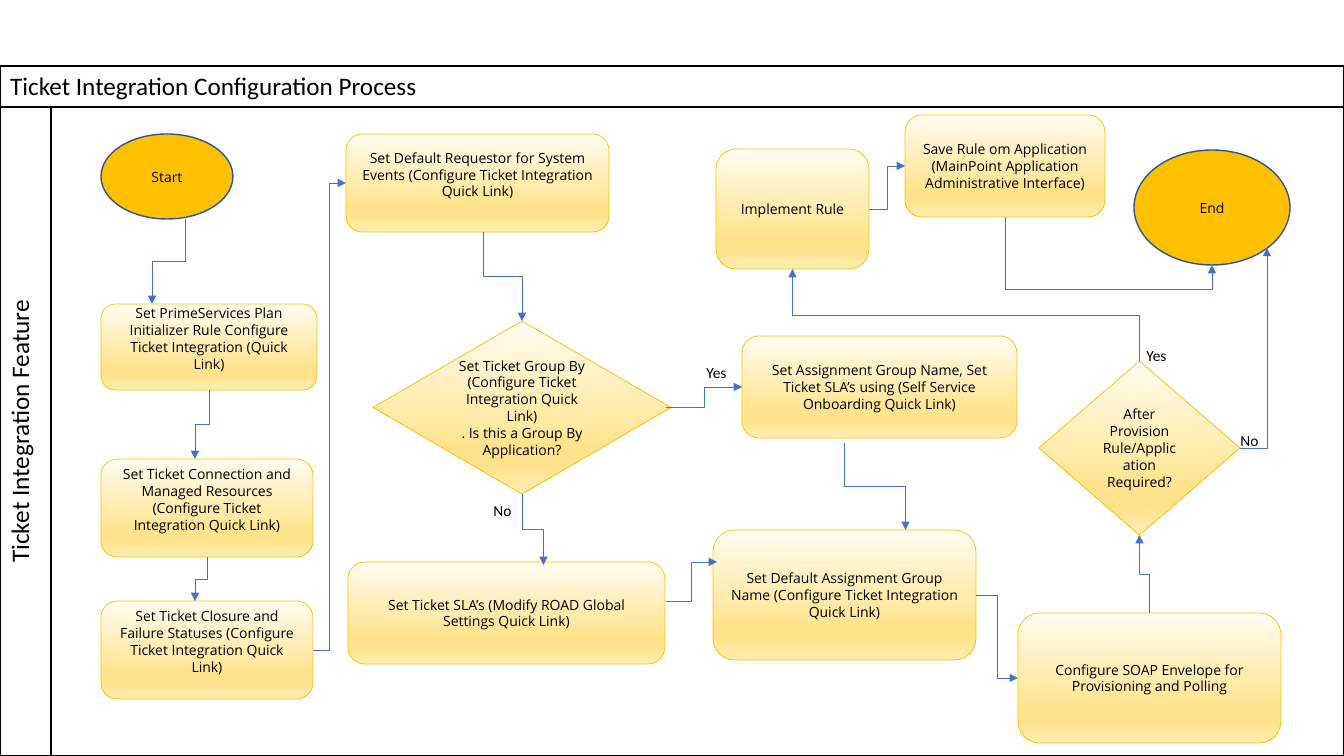
from dataclasses import dataclass
from lxml.etree import SubElement
from pptx import Presentation
from pptx.dml.color import RGBColor
from pptx.enum.shapes import MSO_CONNECTOR, MSO_SHAPE
from pptx.enum.text import MSO_ANCHOR, PP_ALIGN
from pptx.oxml import parse_xml
from pptx.oxml.ns import nsdecls, qn
from pptx.util import Pt

EMU_PER_PIXEL = 914400 / 100.8


@dataclass(frozen=True)
class Theme:
    ink: str = "000000"
    terminal_fill: str = "FFC000"
    terminal_line: str = "325491"
    step_line: str = "FFC000"
    arrow: str = "4472C4"
    step_stops: tuple = ((0, "FFFCF2"), (51, "FFEBAC"), (74, "FFE38C"), (83, "FFE38C"), (100, "FFECB2"))
    lane_font: str = "Calibri"
    step_font: str = "Open Sans"
    lane_size: int = 18
    label_size: int = 11
    step_size: int = 10


@dataclass(frozen=True)
class Box:
    left: int
    top: int
    width: int
    height: int

    def inside(self, left, top, width, height):
        return Box(self.left + left, self.top + top, width, height)

    def emu(self):
        return [px(value) for value in (self.left, self.top, self.width, self.height)]

    def anchor(self, side, across=0, down=0):
        x, y = {"top": (0.5, 0), "bottom": (0.5, 1), "left": (0, 0.5), "right": (1, 0.5)}[side]
        return self.left + x * self.width + across, self.top + y * self.height + down


THEME = Theme()
HEADER_HEIGHT, LANE_WIDTH = 41, 51

NODES = {
    "start": ("terminal", (50, 27, 132, 85), "Start"),
    "plan": ("raised", (50, 197, 216, 86),
             "Set PrimeServices Plan Initializer Rule Configure Ticket Integration (Quick Link)"),
    "connection": ("raised", (50, 352, 212, 98),
                   "Set Ticket Connection and Managed Resources (Configure Ticket Integration Quick Link)"),
    "closure": ("raised", (50, 494, 212, 98),
                "Set Ticket Closure and Failure Statuses (Configure Ticket Integration Quick Link)"),
    "requestor": ("raised", (295, 27, 263, 98),
                  "Set Default Requestor for System Events (Configure Ticket Integration Quick Link)"),
    "group": ("decision", (322, 214, 298, 173),
              "Set Ticket Group By (Configure Ticket Integration Quick Link)\n. Is this a Group By Application?"),
    "assignment": ("step", (691, 229, 275, 102),
                   "Set Assignment Group Name, Set Ticket SLA’s using (Self Service Onboarding Quick Link)"),
    "sla": ("step", (297, 455, 317, 102), "Set Ticket SLA’s (Modify ROAD Global Settings Quick Link)"),
    "default": ("step", (662, 423, 263, 130),
                "Set Default Assignment Group Name (Configure Ticket Integration Quick Link)"),
    "envelope": ("step", (967, 506, 263, 130), "Configure SOAP Envelope for Provisioning and Polling"),
    "provision": ("decision", (988, 254, 201, 174), "After Provision Rule/Application Required?"),
    "implement": ("step", (665, 42, 153, 120), "Implement Rule"),
    "save": ("step", (854, 8, 200, 102),
             "Save Rule om Application (MainPoint Application Administrative Interface)"),
    "end": ("terminal", (1083, 43, 156, 115), "End"),
}

ARROWS = [
    ("start", ("bottom", 18), "plan", ("top", -57)),
    ("plan", ("bottom",), "connection", ("top", -12)),
    ("connection", ("bottom",), "closure", ("top", -12)),
    ("closure", ("right",), "requestor", ("left",)),
    ("requestor", ("bottom", 6), "group", ("top",)),
    ("group", ("bottom",), "sla", ("top", 37, 3)),
    ("group", ("right", -5), "assignment", ("left",)),
    ("assignment", ("bottom", -35, 5), "default", ("top", 61)),
    ("sla", ("right", 1, -12), "default", ("left", 4, -33)),
    ("default", ("right",), "envelope", ("left",)),
    ("envelope", ("top",), "provision", ("bottom",)),
    ("provision", ("top",), "implement", ("bottom",)),
    ("implement", ("right",), "save", ("left",)),
    ("save", ("bottom",), "end", ("bottom",)),
    ("provision", ("right",), "end", ("bottom", 55, -17)),
]
BENDS = {("save", "end"): 1.5}
CORNERS = {("provision", "end")}
LABELS = [("No", 429, 386), ("Yes", 643, 248), ("No", 1176, 316), ("Yes", 1083, 231)]


def px(value):
    return round(value * EMU_PER_PIXEL)


def color(value):
    return RGBColor.from_string(value)


def write(text_frame, text, font, size, align=PP_ALIGN.CENTER):
    text_frame.text = text
    for paragraph in text_frame.paragraphs:
        paragraph.alignment = align
        paragraph.font.name = font
        paragraph.font.size = Pt(size)
        paragraph.font.bold = False
        paragraph.font.color.rgb = color(THEME.ink)


def draw_swimlane(slide, box):
    table = slide.shapes.add_table(2, 2, *box.emu()).table
    table.first_row = table.horz_banding = False
    for column, width in zip(table.columns, (LANE_WIDTH, box.width - LANE_WIDTH)):
        column.width = px(width)
    for row, height in zip(table.rows, (HEADER_HEIGHT, box.height - HEADER_HEIGHT)):
        row.height = px(height)
    table.cell(0, 0).merge(table.cell(0, 1))
    write(table.cell(0, 0).text_frame, "Ticket Integration Configuration Process",
          THEME.lane_font, THEME.lane_size, PP_ALIGN.LEFT)
    write(table.cell(1, 0).text_frame, "Ticket Integration Feature", THEME.lane_font, THEME.lane_size)
    for cell in table.iter_cells():
        cell.fill.background()
        properties = cell._tc.get_or_add_tcPr()
        for index, edge in enumerate(("lnL", "lnR", "lnT", "lnB")):
            properties.insert(index, parse_xml(
                f'<a:{edge} {nsdecls("a")} w="{Pt(1)}"><a:solidFill>'
                f'<a:srgbClr val="{THEME.ink}"/></a:solidFill></a:{edge}>'))
    table.cell(1, 0)._tc.get_or_add_tcPr().set("vert", "vert270")


def fill_gradient(shape):
    shape.fill.gradient()
    shape.fill.gradient_angle = 270
    stops = shape._element.spPr.find(qn("a:gradFill")).find(qn("a:gsLst"))
    for stop in list(stops):
        stops.remove(stop)
    for position, value in THEME.step_stops:
        stop = SubElement(stops, qn("a:gs"), pos=str(position * 1000))
        SubElement(stop, qn("a:srgbClr"), val=value)


def draw_node(slide, box, kind, text):
    preset = {"terminal": MSO_SHAPE.OVAL, "decision": MSO_SHAPE.DIAMOND}.get(kind, MSO_SHAPE.ROUNDED_RECTANGLE)
    shape = slide.shapes.add_shape(preset, *box.emu())
    shape.shadow.inherit = False
    if kind == "terminal":
        shape.fill.solid()
        shape.fill.fore_color.rgb = color(THEME.terminal_fill)
    else:
        fill_gradient(shape)
    shape.line.color.rgb = color(THEME.terminal_line if kind == "terminal" else THEME.step_line)
    shape.line.width = Pt(1 if kind == "terminal" else 0.5)
    text_frame = shape.text_frame
    text_frame.word_wrap = True
    text_frame.vertical_anchor = MSO_ANCHOR.MIDDLE
    if kind == "raised":
        text_frame.margin_top, text_frame.margin_bottom = 0, px(17)
    write(text_frame, text, THEME.step_font, THEME.step_size)


def draw_arrow(slide, start, end, vertical, bend=None, corner=False):
    begin, finish = start, end
    if vertical:
        center_x, center_y = (start[0] + end[0]) / 2, (start[1] + end[1]) / 2
        half_x, half_y = (end[0] - start[0]) / 2, (end[1] - start[1]) / 2
        begin = center_x - half_y, center_y + half_x
        finish = center_x + half_y, center_y - half_x
    connector = slide.shapes.add_connector(
        MSO_CONNECTOR.ELBOW, *[px(value) for value in (*begin, *finish)])
    connector.line.color.rgb = color(THEME.arrow)
    connector.line.width = Pt(0.5)
    properties = connector._element.spPr
    if vertical:
        properties.find(qn("a:xfrm")).set("rot", "5400000")
    geometry = properties.find(qn("a:prstGeom"))
    if corner:
        geometry.set("prst", "bentConnector2")
    if bend:
        SubElement(geometry.find(qn("a:avLst")), qn("a:gd"), name="adj1", fmla=f"val {round(bend * 100000)}")
    SubElement(properties.find(qn("a:ln")), qn("a:tailEnd"), type="triangle")
    SubElement(properties, qn("a:effectLst"))


def draw_label(slide, box, text):
    text_frame = slide.shapes.add_textbox(*box.emu()).text_frame
    text_frame.word_wrap = True
    text_frame.vertical_anchor = MSO_ANCHOR.MIDDLE
    write(text_frame, text, THEME.lane_font, THEME.label_size)


def draw_flow(slide, box):
    boxes = {name: box.inside(*place) for name, (kind, place, text) in NODES.items()}
    for name, (kind, place, text) in NODES.items():
        draw_node(slide, boxes[name], kind, text)
    for source, leaving, target, entering in ARROWS:
        pair = source, target
        draw_arrow(slide, boxes[source].anchor(*leaving), boxes[target].anchor(*entering),
                   leaving[0] in ("top", "bottom"), BENDS.get(pair), pair in CORNERS)
    for text, left, top in LABELS:
        draw_label(slide, box.inside(left, top, 45, 35), text)


presentation = Presentation()
presentation.slide_width, presentation.slide_height = px(1344), px(756)
slide = presentation.slides.add_slide(presentation.slide_layouts[6])
swimlane = Box(0, 66, 1344, 690)
draw_swimlane(slide, swimlane)
draw_flow(slide, swimlane.inside(LANE_WIDTH, HEADER_HEIGHT,
                                 swimlane.width - LANE_WIDTH, swimlane.height - HEADER_HEIGHT))
presentation.save("out.pptx")
